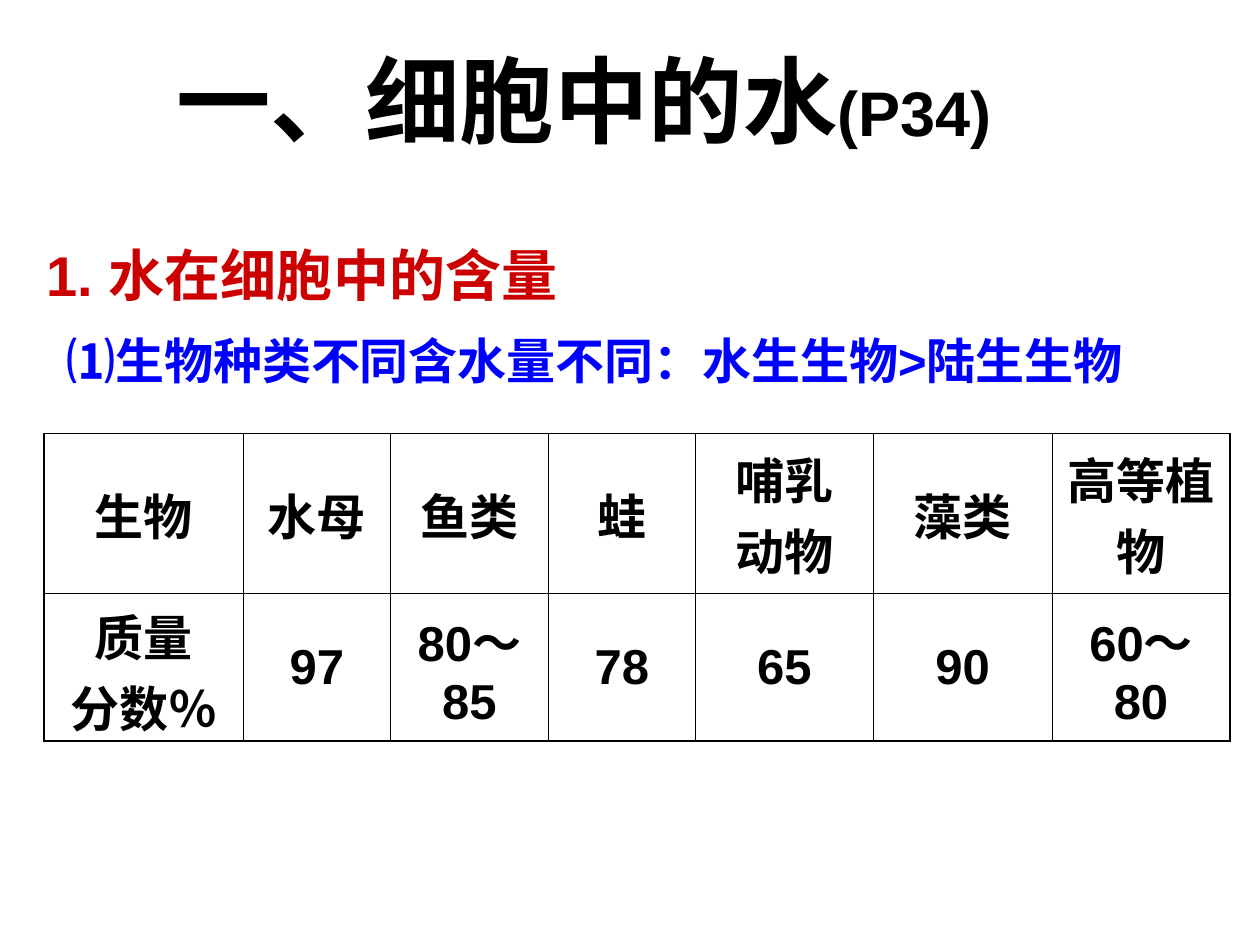
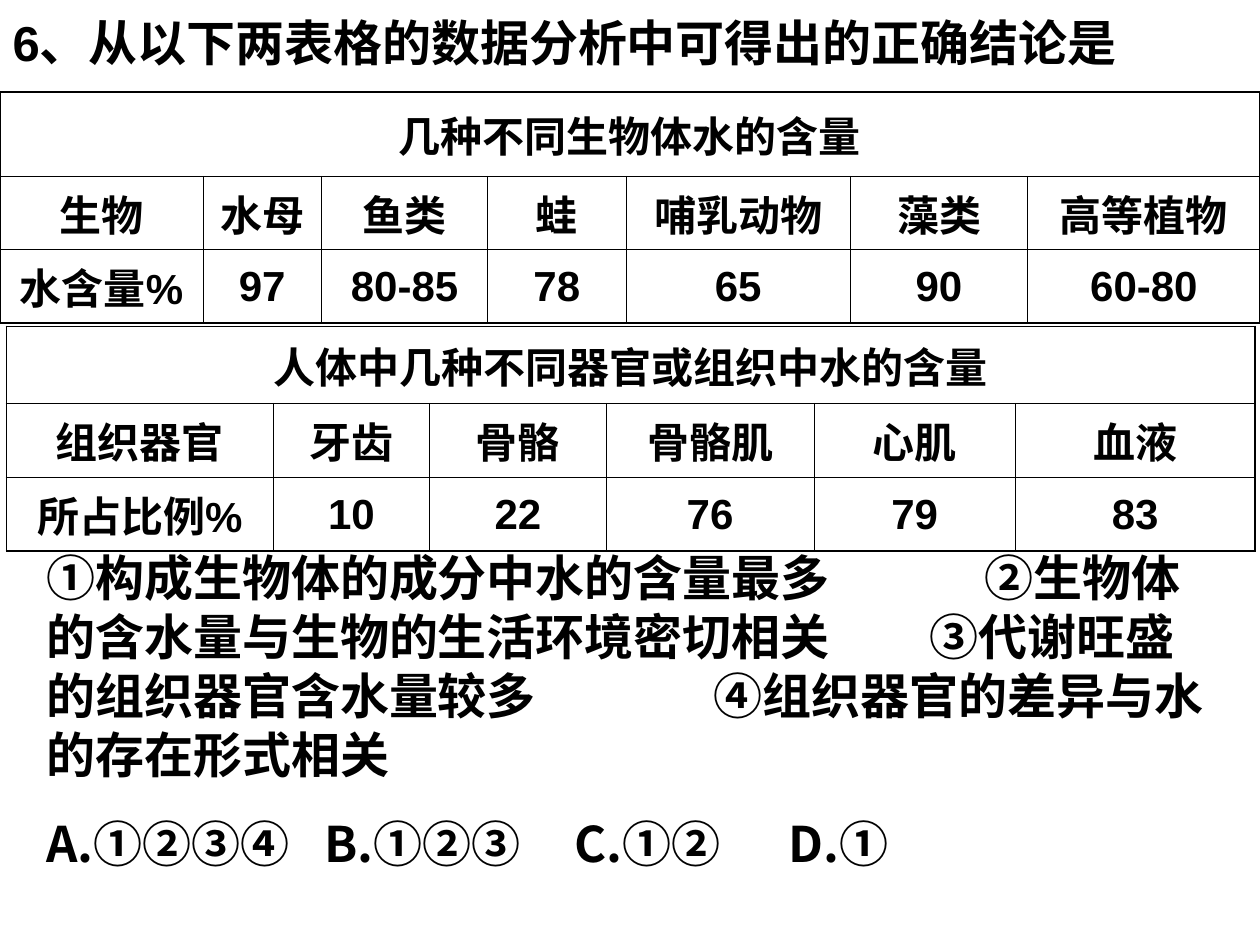
from lxml import etree
from pptx import Presentation
from pptx.dml.color import RGBColor
from pptx.enum.text import MSO_ANCHOR, MSO_AUTO_SIZE, PP_ALIGN
from pptx.oxml.ns import qn
from pptx.util import Cm, Pt

LEFT, MID = PP_ALIGN.LEFT, PP_ALIGN.CENTER
TOP, CENTER = MSO_ANCHOR.TOP, MSO_ANCHOR.MIDDLE
NO_FIT = MSO_AUTO_SIZE.NONE

COLORS = {"ink": "000000", "red": "CC0000", "blue": "0000FF", "paper": "FFFFFF"}
LATIN, HAN = "Arial", "Noto Sans CJK SC"
THIN, THICK = 0.45, 1.08

# Content: boxes are (left, top, width, height) in cm
TITLES = [
    {"box": (3.3, 0.71, 18.21, 2.54), "runs": [("一、细胞中的水", 54), ("(P34)", 36)]},
    {"box": (0, 0.13, 23.11, 1.45),
     "runs": [("6、从以下两表格的数据分析中可得出的正确结论是", 28)]},
]
HEADS = [
    ((0.69, 4.72, 13.13, 1.63), "1. 水在细胞中的含量", 32, "red"),
    ((1.09, 6.53, 22.66, 2.64), "⑴生物种类不同含水量不同：水生生物>陆生生物", 28, "blue"),
]
WATER = {
    "at": (0.89, 8.74), "size": 28, "fill": "paper",
    "cols": [4.01, 2.97, 3.18, 2.97, 3.58, 3.61, 3.58], "rows": [3.23, 2.97],
    "data": [["生物", "水母", "鱼类", "蛙", "哺乳\v动物", "藻类", "高等植物"],
             ["质量\v分数％", "97", "80～85", "78", "65", "90", "60～80"]],
}
SPECIES = {
    "at": (0, 1.85), "size": 24, "head": "几种不同生物体水的含量",
    "cols": [4.09, 2.39, 3.35, 2.79, 4.52, 3.58, 4.68], "rows": [1.7, 1.27, 1.27],
    "data": [["生物", "水母", "鱼类", "蛙", "哺乳动物", "藻类", "高等植物"],
             ["水含量%", "97", "80-85", "78", "65", "90", "60-80"]],
}
ORGANS = {
    "at": (0.13, 6.58), "size": 24, "head": "人体中几种不同器官或组织中水的含量",
    "cols": [5.38, 3.15, 3.56, 4.19, 4.06, 4.83], "rows": [1.55, 1.5, 1.27],
    "data": [["组织器官", "牙齿", "骨骼", "骨骼肌", "心肌", "血液"],
             ["所占比例%", "10", "22", "76", "79", "83"]],
}
CHOICE_BOX = (0.69, 10.92, 24.1, 6.81)
CHOICES = [  # text, tab stops in cm
    ("①构成生物体的成分中水的含量最多\t\t②生物体的含水量与生物的生活环境密切相关"
     "\t③代谢旺盛的组织器官含水量较多\t④组织器官的差异与水的存在形式相关",
     (13.45, 17.8, 18.91)),
    ("A.①②③④\tB.①②③\tC.①②\tD.①", (5.6, 10.65, 14.95)),
]


def rgb(name):
    return RGBColor.from_string(COLORS[name])


def style(para, size, color="ink", face=LATIN, align=LEFT):
    para.alignment = align
    font = para.font
    font.name, font.size, font.bold = face, Pt(size), True
    font.color.rgb = rgb(color)


def add_title(deck, spec):
    slide = deck.slides.add_slide(deck.slide_layouts[5])
    title = slide.shapes.title
    title.left, title.top, title.width, title.height = map(Cm, spec["box"])
    frame = title.text_frame
    frame.word_wrap, frame.auto_size, frame.vertical_anchor = True, NO_FIT, TOP
    para = frame.paragraphs[0]
    style(para, spec["runs"][0][1])
    for text, size in spec["runs"]:
        run = para.add_run()
        run.text, run.font.size = text, Pt(size)
    return slide


def add_box(slide, box):
    frame = slide.shapes.add_textbox(*map(Cm, box)).text_frame
    frame.word_wrap = True
    return frame


def add_tabs(para, stops):
    tabs = etree.SubElement(para._p.get_or_add_pPr(), qn("a:tabLst"))
    for stop in stops:
        etree.SubElement(tabs, qn("a:tab"), pos=str(Cm(stop)), algn="l")


def set_edges(cell, widths):
    props = cell._tc.get_or_add_tcPr()
    for i, (side, width) in enumerate(widths.items()):
        line = etree.Element(qn("a:ln" + side), w=str(Pt(width)))
        fill = etree.SubElement(line, qn("a:solidFill"))
        etree.SubElement(fill, qn("a:srgbClr"), val=COLORS["ink"])
        props.insert(i, line)


def add_grid(slide, spec):
    cols, rows = spec["cols"], spec["rows"]
    data = spec["data"]
    if "head" in spec:
        data = [[spec["head"]] + [""] * (len(cols) - 1)] + data
    area = map(Cm, (*spec["at"], sum(cols), sum(rows)))
    table = slide.shapes.add_table(len(rows), len(cols), *area).table
    table.first_row = table.horz_banding = False
    for col, width in zip(table.columns, cols):
        col.width = Cm(width)
    for row, height in zip(table.rows, rows):
        row.height = Cm(height)
    if "head" in spec:
        table.cell(0, 0).merge(table.cell(0, len(cols) - 1))

    # Cells: thick outer frame, thin inner lines
    for r, line in enumerate(data):
        for c, text in enumerate(line):
            cell = table.cell(r, c)
            cell.vertical_anchor = CENTER
            if "fill" in spec:
                cell.fill.solid()
                cell.fill.fore_color.rgb = rgb(spec["fill"])
            else:
                cell.fill.background()
            last = c == len(cols) - 1 or cell.is_merge_origin
            outer = {"L": c == 0, "R": last, "T": r == 0, "B": r == len(rows) - 1}
            set_edges(cell, {k: THICK if v else THIN for k, v in outer.items()})
            if text:
                para = cell.text_frame.paragraphs[0]
                para.text = text
                style(para, spec["size"], align=MID)


def main():
    deck = Presentation()
    deck.slide_width, deck.slide_height = Cm(25.4), Cm(19.05)
    intro, quiz = [add_title(deck, spec) for spec in TITLES]

    # Water content
    for box, text, size, color in HEADS:
        para = add_box(intro, box).paragraphs[0]
        para.text = text
        style(para, size, color)
    add_grid(intro, WATER)

    # Question with two tables
    for spec in (SPECIES, ORGANS):
        add_grid(quiz, spec)
    frame = add_box(quiz, CHOICE_BOX)
    for i, (text, stops) in enumerate(CHOICES):
        para = frame.add_paragraph() if i else frame.paragraphs[0]
        para.text = text
        add_tabs(para, stops)
        style(para, 28, face=HAN)
        if i:
            para.space_before = Pt(17.5)

    deck.save("out.pptx")


if __name__ == "__main__":
    main()
